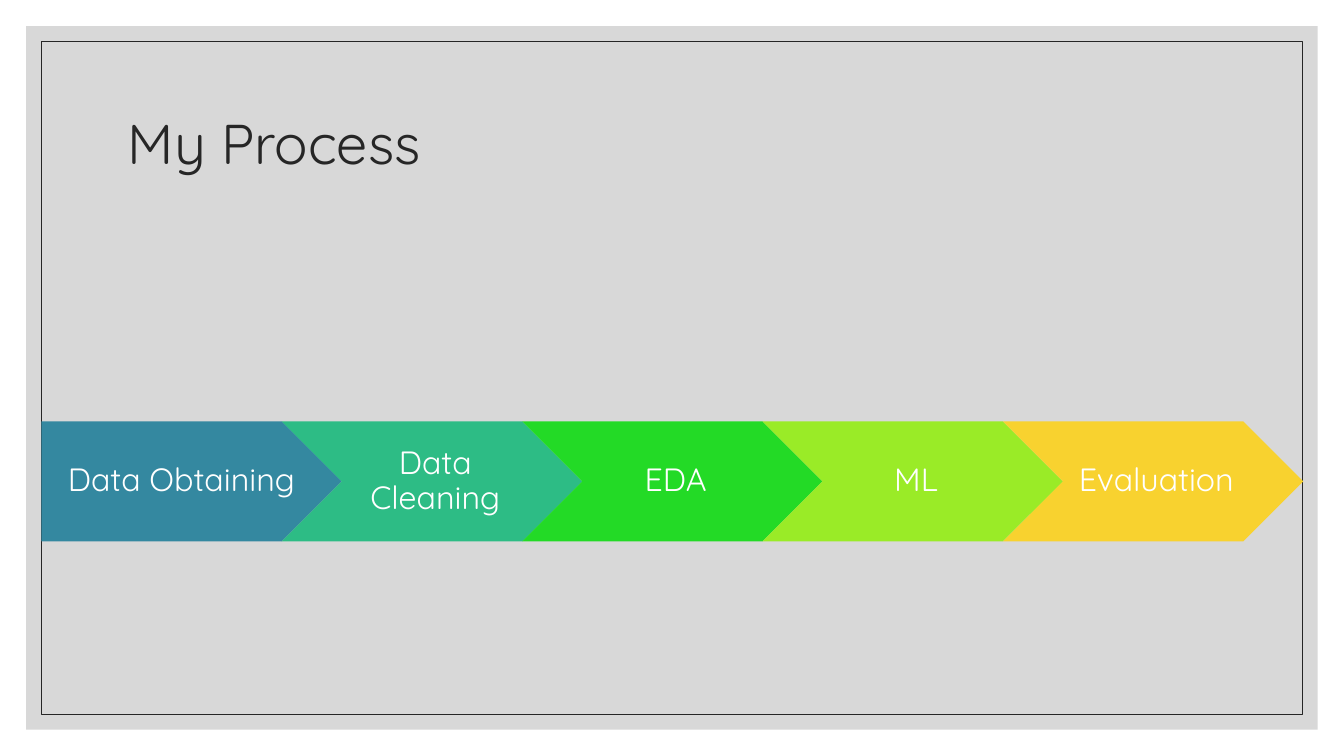
"""Build the "My Process" slide: a framed panel with a chain of five step arrows."""
from lxml.etree import SubElement
from pptx import Presentation
from pptx.dml.color import RGBColor
from pptx.enum.shapes import MSO_SHAPE
from pptx.enum.text import MSO_ANCHOR, PP_ALIGN
from pptx.oxml.ns import qn
from pptx.util import Inches, Pt

WHITE = RGBColor(0xFF, 0xFF, 0xFF)
GREY = RGBColor(0xBF, 0xBF, 0xBF)
DARK = RGBColor(0x26, 0x26, 0x26)
BLUE = RGBColor(0x34, 0x88, 0xA0)
TEAL = RGBColor(0x2D, 0xBC, 0x85)
GREEN = RGBColor(0x23, 0xDA, 0x26)
LIME = RGBColor(0x9A, 0xEB, 0x27)
YELLOW = RGBColor(0xF8, 0xD2, 0x2F)

WIDTH, HEIGHT = 13.33, 7.5
PANEL_MARGIN, FRAME_MARGIN = 0.26, 0.41
STEP_TOP, STEP_W = 4.18, 2.98
STEP_H, STEP_PITCH = STEP_W * 0.4, STEP_W * 0.8

STEPS = [
    ("Data Obtaining", BLUE),
    ("Data Cleaning", TEAL),
    ("EDA", GREEN),
    ("ML", LIME),
    ("Evaluation", YELLOW),
]


def add_box(kind, left, top, width, height):
    s = slide.shapes.add_shape(
        kind, Inches(left), Inches(top), Inches(width), Inches(height))
    s.shadow.inherit = False
    return s


def write(tf, text, size, color, align, margins):
    tf.word_wrap = True
    tf.vertical_anchor = MSO_ANCHOR.MIDDLE
    for side, inset in margins.items():
        setattr(tf, f"margin_{side}", Inches(inset))
    p = tf.paragraphs[0]
    p.alignment = align
    p.line_spacing = 0.9
    r = p.add_run()
    r.text = text
    r.font.name = "Quicksand"
    r.font.size = Pt(size)
    r.font.color.rgb = color


prs = Presentation()
prs.slide_width, prs.slide_height = Inches(WIDTH), Inches(HEIGHT)
slide = prs.slides.add_slide(prs.slide_layouts[6])

panel, frame = [
    add_box(MSO_SHAPE.RECTANGLE, m, m, WIDTH - 2 * m, HEIGHT - 2 * m)
    for m in (PANEL_MARGIN, FRAME_MARGIN)
]
panel.fill.solid()
panel.fill.fore_color.rgb = GREY
panel.line.fill.background()
panel_color = panel.fill._xPr.find(qn("a:solidFill"))[0]
SubElement(panel_color, qn("a:alpha"), val="60000")
frame.fill.background()
frame.line.color.rgb = DARK
frame.line.width = Pt(0.5)

for i, (label, color) in enumerate(STEPS):
    kind = MSO_SHAPE.CHEVRON if i else MSO_SHAPE.PENTAGON
    s = add_box(kind, FRAME_MARGIN + i * STEP_PITCH, STEP_TOP, STEP_W, STEP_H)
    s.fill.solid()
    s.fill.fore_color.rgb = color
    s.line.fill.background()
    margins = {"left": 0.1 if i else 0.13, "top": 0.07, "right": 0.03, "bottom": 0.07}
    write(s.text_frame, label, 23, WHITE, PP_ALIGN.CENTER, margins)

title = slide.shapes.add_textbox(Inches(1.17), Inches(0.7), Inches(11), Inches(1.5))
write(title.text_frame, "My Process", 40, DARK, PP_ALIGN.LEFT, {})

prs.save("out.pptx")
